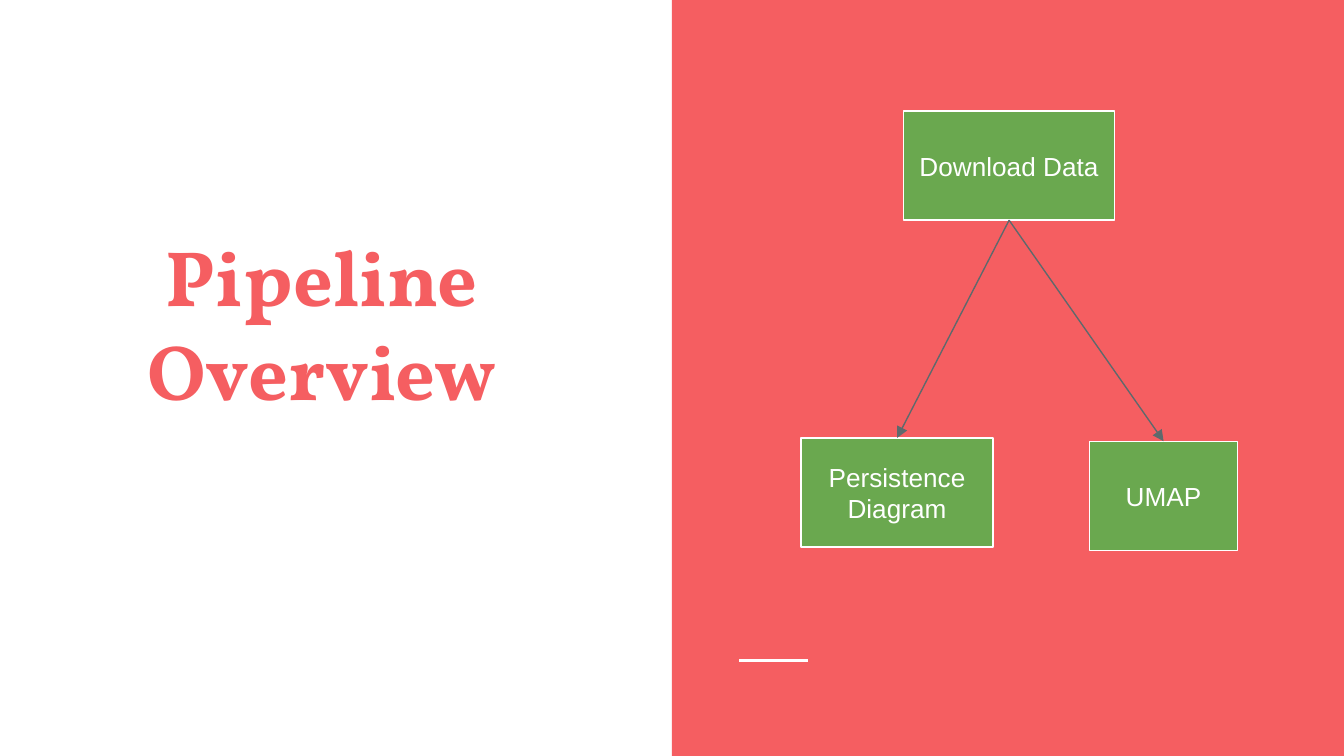
from dataclasses import dataclass

from lxml import etree
from pptx import Presentation
from pptx import util as u
from pptx.dml.color import RGBColor
from pptx.enum import shapes, text
from pptx.oxml.ns import qn


@dataclass(frozen=True)
class Theme:
    coral: RGBColor = RGBColor(0xF5, 0x5E, 0x61)
    green: RGBColor = RGBColor(0x6A, 0xA8, 0x4F)
    white: RGBColor = RGBColor(0xFF, 0xFF, 0xFF)
    slate: RGBColor = RGBColor(0x5E, 0x69, 0x6C)
    title_font: str = "Vollkorn"
    body_font: str = "Arial"
    title_size: float = 42
    body_size: float = 14
    thin: float = 0.75
    thick: float = 1.5
    inset: float = 7.2


def assign(target, values):
    for name, value in values.items():
        setattr(target, name, value)


class PipelineSlide:
    def __init__(self, page, theme):
        self.page = page
        self.theme = theme

    def label(self, box, words, anchor, font, color):
        inset = u.Pt(self.theme.inset)
        assign(box.text_frame, {
            "word_wrap": True, "vertical_anchor": anchor,
            "margin_left": inset, "margin_right": inset,
            "margin_top": inset, "margin_bottom": inset,
        })
        para = box.text_frame.paragraphs[0]
        para.alignment = text.PP_ALIGN.CENTER
        span = para.add_run()
        span.text = words
        assign(span.font, font)
        span.font.color.rgb = color

    def rectangle(self, place, fill, outline=None):
        box = self.page.shapes.add_shape(
            shapes.MSO_SHAPE.RECTANGLE, *map(u.Pt, place))
        box.shadow.inherit = False
        box.fill.solid()
        box.fill.fore_color.rgb = fill
        if outline is None:
            box.line.fill.background()
        else:
            box.line.color.rgb = outline
            box.line.width = u.Pt(self.theme.thin)
        return box

    def title(self, words, place):
        box = self.page.shapes.add_textbox(*map(u.Pt, place))
        font = {"name": self.theme.title_font, "bold": True,
                "size": u.Pt(self.theme.title_size)}
        self.label(box, words, text.MSO_ANCHOR.BOTTOM, font, self.theme.coral)

    def step(self, words, place):
        box = self.rectangle(place, self.theme.green, self.theme.white)
        font = {"name": self.theme.body_font, "size": u.Pt(self.theme.body_size)}
        self.label(box, words, text.MSO_ANCHOR.MIDDLE, font, self.theme.white)
        return box

    def line(self, start, end, color, width):
        line = self.page.shapes.add_connector(
            shapes.MSO_CONNECTOR.STRAIGHT, *map(u.Pt, start + end))
        line.line.color.rgb = color
        line.line.width = u.Pt(width)
        etree.SubElement(line._element.spPr, qn("a:effectLst"))
        return line

    def arrow(self, source, target):
        arrow = self.line((0, 0), (0, 0), self.theme.slate, self.theme.thin)
        arrow.begin_connect(source, 2)
        arrow.end_connect(target, 0)
        outline = arrow._element.spPr.find(qn("a:ln"))
        etree.SubElement(outline, qn("a:tailEnd"),
                         type="triangle", w="med", len="med")


def main():
    deck = Presentation()
    deck.slide_width, deck.slide_height = u.Pt(720), u.Pt(405)
    theme = Theme()
    slide = PipelineSlide(deck.slides.add_slide(deck.slide_layouts[6]), theme)

    slide.rectangle((360, 0, 360, 405), theme.coral)
    slide.line((396, 354), (432.7, 354), theme.white, theme.thick)
    slide.title("Pipeline Overview", (54, 104.4, 236.9, 126))

    height = 58.5
    download = slide.step("Download Data", (484, 59.5, 113.2, height))
    umap = slide.step("UMAP", (583.7, 236.4, 79.3, height))
    persistence = slide.step("Persistence Diagram", (429.1, 234.6, 103, height))
    for target in (persistence, umap):
        slide.arrow(download, target)

    deck.save("out.pptx")


if __name__ == "__main__":
    main()
